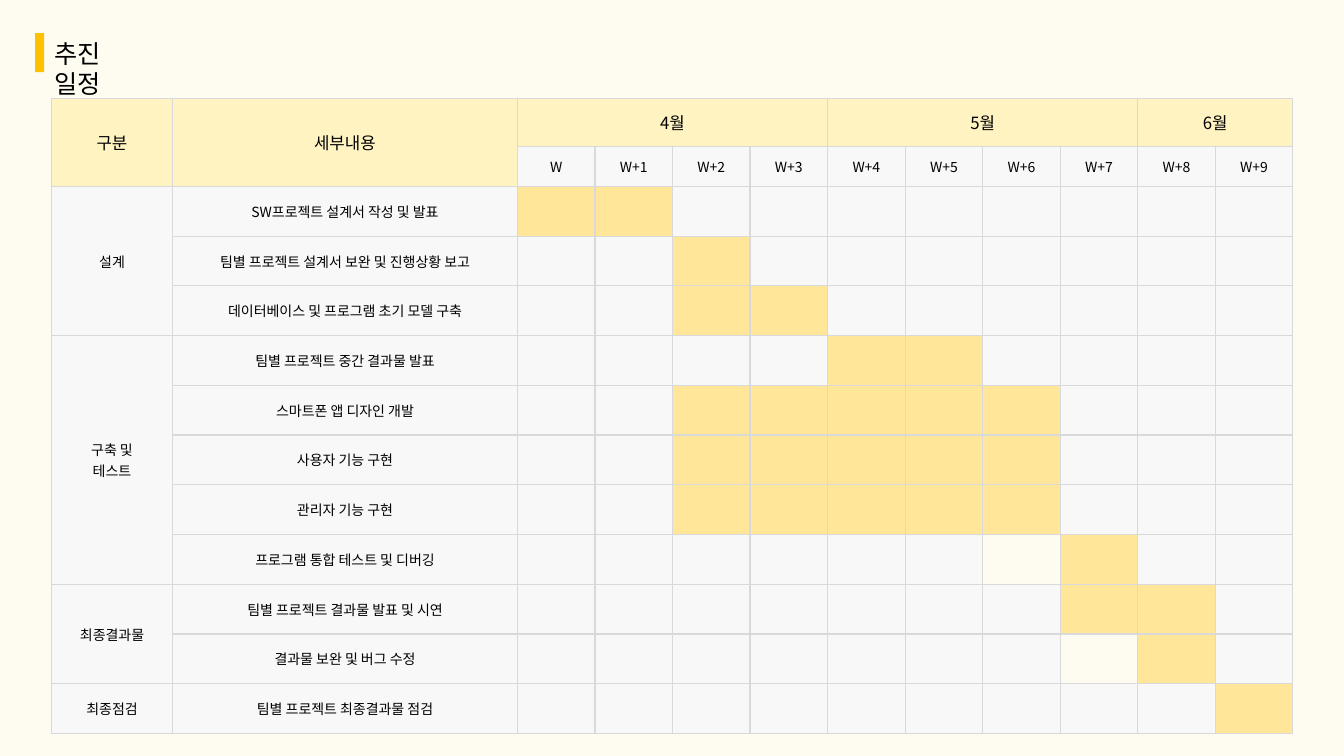
import pptx
import pptx.dml.color
import pptx.enum.shapes
import pptx.enum.text
import pptx.oxml
import pptx.oxml.ns
import pptx.util

Pt = pptx.util.Pt
RGBColor = pptx.dml.color.RGBColor

CREAM = RGBColor(0xFE, 0xFB, 0xF1)
AMBER = RGBColor(0xFF, 0xC0, 0x00)
HEADER = RGBColor(0xFF, 0xF3, 0xC2)
ACTIVE = RGBColor(0xFF, 0xE6, 0x99)
IDLE = RGBColor(0xF8, 0xF8, 0xF8)
GRID = RGBColor(0xD9, 0xD9, 0xD9)
BLACK = RGBColor(0, 0, 0)

MONTHS = [("4월", 4), ("5월", 4), ("6월", 2)]
WEEKS = 10
PHASES = [
    (["설계"], [
        ("SW프로젝트 설계서 작성 및 발표", 0, 1),
        ("팀별 프로젝트 설계서 보완 및 진행상황 보고", 2, 2),
        ("데이터베이스 및 프로그램 초기 모델 구축", 2, 3),
    ]),
    (["구축 및", "테스트"], [
        ("팀별 프로젝트 중간 결과물 발표", 4, 5),
        ("스마트폰 앱 디자인 개발", 2, 6),
        ("사용자 기능 구현", 2, 6),
        ("관리자 기능 구현", 2, 6),
        ("프로그램 통합 테스트 및 디버깅", 7, 7),
    ]),
    (["최종결과물"], [
        ("팀별 프로젝트 결과물 발표 및 시연", 7, 8),
        ("결과물 보완 및 버그 수정", 8, 8),
    ]),
    (["최종점검"], [("팀별 프로젝트 최종결과물 점검", 9, 9)]),
]
UNFILLED = {("프로그램 통합 테스트 및 디버깅", 6), ("결과물 보완 및 버그 수정", 7)}


class SchedulePage:
    """Draws schedule elements on one slide in a shared style."""

    font_name = "Noto Sans CJK KR"

    def __init__(self, deck):
        self.page = deck.slides.add_slide(deck.slide_layouts[5])
        self.page.background.fill.solid()
        self.page.background.fill.fore_color.rgb = CREAM

    def span(self, para, text, size):
        run = para.add_run()
        run.text = text
        run.font.size = Pt(size)
        run.font.name = self.font_name
        run.font.color.rgb = BLACK
        east_asian = pptx.oxml.parse_xml(
            f'<a:ea {pptx.oxml.ns.nsdecls("a")} typeface="{self.font_name}"/>')
        run.font._element.append(east_asian)

    def bar(self, left, top, width, height):
        box = self.page.shapes.add_shape(
            pptx.enum.shapes.MSO_SHAPE.RECTANGLE, Pt(left), Pt(top), Pt(width), Pt(height))
        box.shadow.inherit = False
        box.fill.solid()
        box.fill.fore_color.rgb = AMBER
        box.line.fill.background()

    def title(self, text, left, top, width, height):
        box = self.page.shapes.title
        box.left, box.top, box.width, box.height = Pt(left), Pt(top), Pt(width), Pt(height)
        frame = box.text_frame
        frame.word_wrap = True
        frame.auto_size = pptx.enum.text.MSO_AUTO_SIZE.NONE
        frame.vertical_anchor = pptx.enum.text.MSO_ANCHOR.TOP
        frame.margin_left, frame.margin_right = Pt(7.2), Pt(32)
        frame.margin_top, frame.margin_bottom = Pt(3.6), Pt(0)
        para = frame.paragraphs[0]
        para.alignment = pptx.enum.text.PP_ALIGN.LEFT
        para.line_spacing = 1.0
        self.span(para, text, 18)

    def table(self, left, top, widths, heights):
        frame = self.page.shapes.add_table(
            len(heights), len(widths), Pt(left), Pt(top), Pt(sum(widths)), Pt(sum(heights)))
        grid = frame.table
        grid.first_row = grid.horz_banding = False
        for column, width in zip(grid.columns, widths):
            column.width = Pt(width)
        for row, height in zip(grid.rows, heights):
            row.height = Pt(height)
        for cell in grid.iter_cells():
            cell.margin_top = cell.margin_bottom = Pt(0)
            self.paint(cell, IDLE)
            self.outline(cell)
        return grid

    def paint(self, cell, color):
        cell.fill.solid()
        cell.fill.fore_color.rgb = color

    def outline(self, cell):
        properties = cell._tc.get_or_add_tcPr()
        for position, side in enumerate(("lnL", "lnR", "lnT", "lnB")):
            properties.insert(position, pptx.oxml.parse_xml(
                f'<a:{side} {pptx.oxml.ns.nsdecls("a")} w="{Pt(1)}"><a:solidFill>'
                f'<a:srgbClr val="{GRID}"/></a:solidFill></a:{side}>'))

    def label(self, cell, lines, size, color=IDLE):
        self.paint(cell, color)
        cell.vertical_anchor = pptx.enum.text.MSO_ANCHOR.MIDDLE
        cell.margin_left = cell.margin_right = Pt(8.64)
        cell.margin_top = cell.margin_bottom = Pt(4.32)
        frame = cell.text_frame
        for index, line in enumerate(lines):
            para = frame.add_paragraph() if index else frame.paragraphs[0]
            para.alignment = pptx.enum.text.PP_ALIGN.CENTER
            self.span(para, line, size)


def main():
    deck = pptx.Presentation()
    deck.slide_width, deck.slide_height = Pt(960), Pt(540)
    schedule = SchedulePage(deck)
    schedule.bar(25, 23.6, 6.5, 28)
    schedule.title("추진 일정", 31.5, 23.6, 85, 28.8)

    task_count = sum(len(tasks) for _, tasks in PHASES)
    grid = schedule.table(36.8, 70.4, [86.4, 246.4] + [55.4] * WEEKS,
                          [34.2, 28.6] + [35.54] * task_count)

    for column, heading in enumerate(("구분", "세부내용")):
        grid.cell(0, column).merge(grid.cell(1, column))
        schedule.label(grid.cell(0, column), [heading], 12, HEADER)
    column = 2
    for month, length in MONTHS:
        grid.cell(0, column).merge(grid.cell(0, column + length - 1))
        schedule.label(grid.cell(0, column), [month], 12, HEADER)
        column += length
    for week in range(WEEKS):
        schedule.label(grid.cell(1, week + 2), [f"W+{week}" if week else "W"], 10)

    row = 2
    for phase, tasks in PHASES:
        if len(tasks) > 1:
            grid.cell(row, 0).merge(grid.cell(row + len(tasks) - 1, 0))
        schedule.label(grid.cell(row, 0), phase, 10)
        for task, first, last in tasks:
            schedule.label(grid.cell(row, 1), [task], 10)
            for week in range(first, last + 1):
                schedule.paint(grid.cell(row, week + 2), ACTIVE)
            for week in range(WEEKS):
                if (task, week) in UNFILLED:
                    grid.cell(row, week + 2).fill.background()
            row += 1

    deck.save("out.pptx")


if __name__ == "__main__":
    main()
